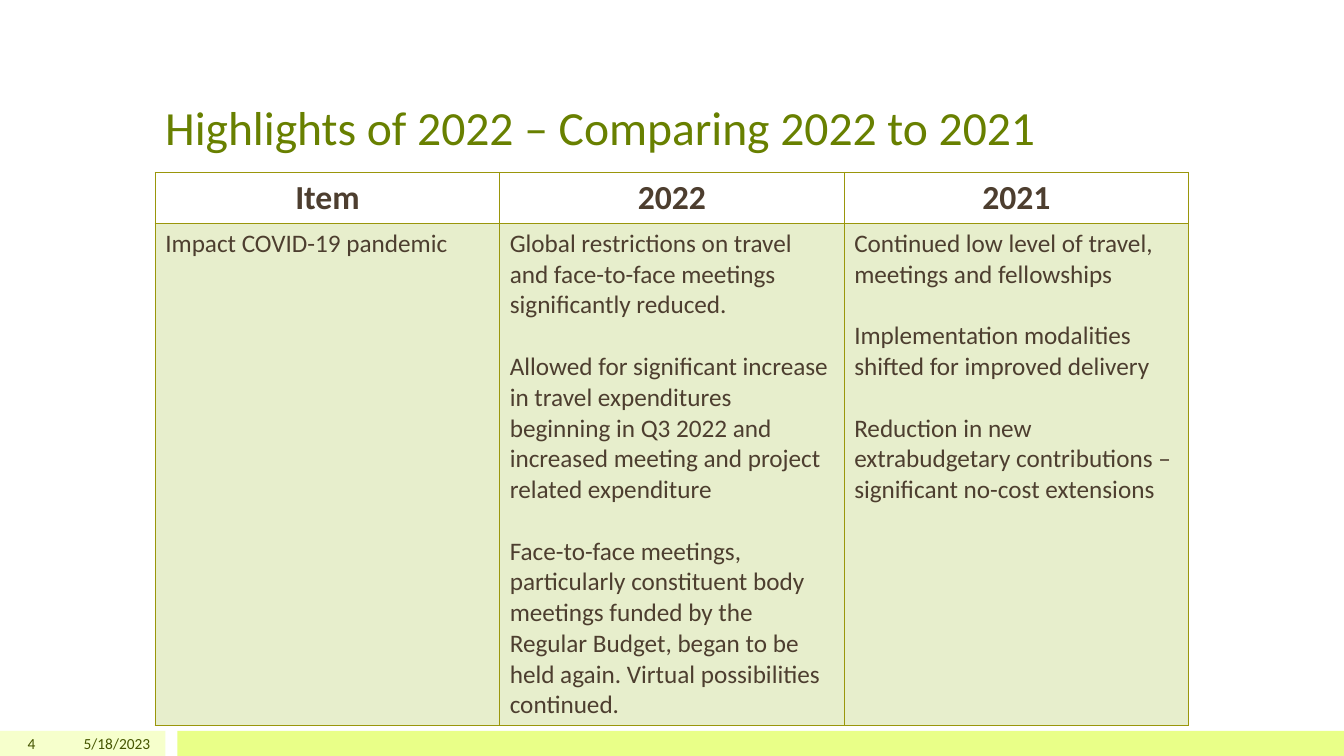
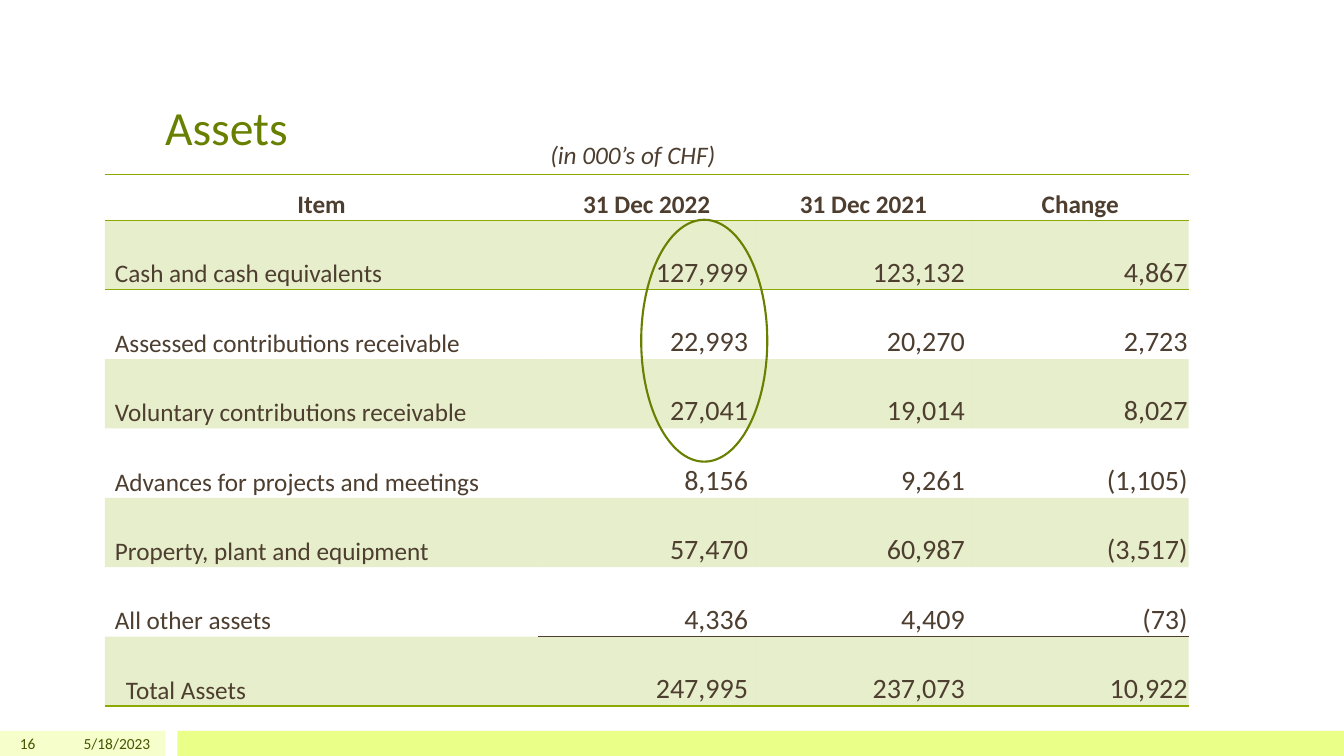
import pptx
import pptx.util
import pptx.dml.color
import pptx.enum.shapes
import pptx.enum.text
import pptx.oxml
import pptx.oxml.ns

Pt = pptx.util.Pt
Inches = pptx.util.Inches
RGBColor = pptx.dml.color.RGBColor
SHAPE = pptx.enum.shapes.MSO_SHAPE
ALIGN = pptx.enum.text.PP_ALIGN
ANCHOR = pptx.enum.text.MSO_ANCHOR

WIDTH, HEIGHT = Inches(13.33), Inches(7.5)
FONT = "Calibri"
OLIVE = RGBColor(0x68, 0x80, 0x00)
DARK_OLIVE = RGBColor(0x45, 0x55, 0x00)
GREEN = RGBColor(0x8B, 0xAA, 0x00)
GRID = RGBColor(0x9A, 0x96, 0x0B)
BROWN = RGBColor(0x4D, 0x3E, 0x2F)
PALE_LIME = RGBColor(0xF6, 0xFF, 0xCC)
LIME = RGBColor(0xE9, 0xFF, 0x88)
TINT_PERCENT = 20
FOOTER_TOP, FOOTER_HEIGHT = 96.67, 3.33
TABLE_GRID_STYLE = "{2D5ABB26-0587-4C30-8999-92F81FD0307C}"
DATE = "5/18/2023"

HIGHLIGHTS = [
    ["Impact COVID-19 pandemic"],
    ["Global restrictions on travel and face-to-face meetings significantly reduced.",
     "Allowed for significant increase in travel expenditures beginning in Q3 2022 "
     "and increased meeting and project related expenditure",
     "Face-to-face meetings, particularly constituent body meetings funded by the "
     "Regular Budget, began to be held again. Virtual possibilities continued."],
    ["Continued low level of travel, meetings and fellowships",
     "Implementation modalities shifted for improved delivery",
     "Reduction in new extrabudgetary contributions – significant no-cost extensions"],
]
ASSETS = [
    ("Item", "31 Dec 2022", "31 Dec 2021", "Change"),
    ("Cash and cash equivalents", "127,999", "123,132", "4,867"),
    ("Assessed contributions receivable", "22,993", "20,270", "2,723"),
    ("Voluntary contributions receivable", "27,041", "19,014", "8,027"),
    ("Advances for projects and meetings", "8,156", "9,261", "(1,105)"),
    ("Property, plant and equipment", "57,470", "60,987", "(3,517)"),
    ("All other assets", "4,336", "4,409", "(73)"),
    ("Total Assets", "247,995", "237,073", "10,922"),
]


def across(percent):
    return round(WIDTH * percent / 100)


def down(percent):
    return round(HEIGHT * percent / 100)


def box(x, y, w, h):
    return across(x), down(y), across(w), down(h)


def write(tf, *lines, size=18, color=BROWN, bold=False, italic=False,
          align=ALIGN.LEFT, gap=0):
    tf.word_wrap = True
    for i, line in enumerate(lines):
        p = tf.add_paragraph() if i else tf.paragraphs[0]
        p.alignment = align
        p.space_before = Pt(gap if i else 0)
        r = p.add_run()
        r.text = line
        r.font.name = FONT
        r.font.size = Pt(size)
        r.font.bold = bold
        r.font.italic = italic
        r.font.color.rgb = color


def add_text(slide, area, text, anchor=ANCHOR.TOP, **style):
    tf = slide.shapes.add_textbox(*box(*area)).text_frame
    tf.vertical_anchor = anchor
    write(tf, text, **style)


def add_shape(slide, kind, area, fill=None, line=None, weight=1.5):
    sp = slide.shapes.add_shape(kind, *box(*area))
    sp.shadow.inherit = False
    if fill is None:
        sp.fill.background()
    else:
        sp.fill.solid()
        sp.fill.fore_color.rgb = fill
    if line is None:
        sp.line.fill.background()
    else:
        sp.line.color.rgb = line
        sp.line.width = Pt(weight)


def add_table(slide, x, y, widths, heights):
    frame = slide.shapes.add_table(len(heights), len(widths),
                                   *box(x, y, sum(widths), sum(heights)))
    table = frame.table
    table.first_row = table.horz_banding = False
    style = next(table._tbl.iter(pptx.oxml.ns.qn("a:tableStyleId")))
    style.text = TABLE_GRID_STYLE
    for column, w in zip(table.columns, widths):
        column.width = across(w)
    for row, h in zip(table.rows, heights):
        row.height = down(h)
    return table


def format_cell(cell, borders, tinted):
    tc_pr = cell._tc.get_or_add_tcPr()
    for side in "LRTB":
        if side in borders:
            tc_pr.append(pptx.oxml.parse_xml(
                f'<a:ln{side} {pptx.oxml.ns.nsdecls("a")} w="{Pt(1)}"><a:solidFill>'
                f'<a:srgbClr val="{borders[side]}"/></a:solidFill></a:ln{side}>'))
    if not tinted:
        cell.fill.background()
        return
    cell.fill.solid()
    cell.fill.fore_color.rgb = GREEN
    color = next(tc_pr.find(pptx.oxml.ns.qn("a:solidFill")).iterchildren())
    alpha = color.makeelement(pptx.oxml.ns.qn("a:alpha"),
                              {"val": str(TINT_PERCENT * 1000)})
    color.append(alpha)


def set_margins(cell, left=0.01, right=0.01):
    cell.margin_left, cell.margin_right = Inches(left), Inches(right)
    cell.margin_top, cell.margin_bottom = Inches(0.01), 0


def add_slide(prs, title, number):
    slide = prs.slides.add_slide(prs.slide_layouts[6])
    for x, w, color in ((0, 12.3, PALE_LIME), (13.2, 86.8, LIME)):
        add_shape(slide, SHAPE.RECTANGLE, (x, FOOTER_TOP, w, FOOTER_HEIGHT), fill=color)
    add_text(slide, (11.55, 4, 76.9, 17.2), title, ANCHOR.BOTTOM, size=34, color=OLIVE)
    for x, w, text in ((0, 3.38, str(number)), (3.75, 8.18, DATE)):
        add_text(slide, (x, FOOTER_TOP, w, FOOTER_HEIGHT), text, ANCHOR.MIDDLE,
                 size=11, color=DARK_OLIVE, align=ALIGN.RIGHT)
    return slide


def add_highlights(prs):
    slide = add_slide(prs, "Highlights of 2022 – Comparing 2022 to 2021", 4)
    table = add_table(slide, 11.55, 22.8, [76.9 / 3] * 3, [6.76, 66.4])
    borders = dict.fromkeys("LRTB", GRID)
    for c, (heading, lines) in enumerate(zip(("Item", "2022", "2021"), HIGHLIGHTS)):
        head, body = table.cell(0, c), table.cell(1, c)
        format_cell(head, borders, False)
        format_cell(body, borders, True)
        write(head.text_frame, heading, size=24, bold=True, align=ALIGN.CENTER)
        write(body.text_frame, *lines, gap=22)


def asset_borders(r, c):
    last = len(ASSETS) - 1
    borders = {}
    if r == 0:
        borders["T"] = GREEN
    if r in (0, last):
        borders["B"] = GREEN
    if r == 1:
        borders["T"] = GREEN
    if c and r == last - 1:
        borders["B"] = BROWN
    if c and r == last:
        borders["T"] = BROWN
    return borders


def add_assets(prs):
    slide = add_slide(prs, "Assets", 16)
    last = len(ASSETS) - 1
    unit = 80.65 / 5
    table = add_table(slide, 7.8, 23.07, [2 * unit] + [unit] * 3, [6.08] + [9.18] * last)
    for r, row in enumerate(ASSETS):
        for c, text in enumerate(row):
            cell = table.cell(r, c)
            format_cell(cell, asset_borders(r, c), r % 2 == 1)
            cell.vertical_anchor = ANCHOR.BOTTOM
            if r == 0:
                set_margins(cell)
                write(cell.text_frame, text, bold=True, align=ALIGN.CENTER)
            elif c == 0:
                set_margins(cell, left=0.21 if r == last else 0.1)
                write(cell.text_frame, text)
            else:
                set_margins(cell, right=0.07 if c < 3 else 0.01)
                write(cell.text_frame, text, size=20, align=ALIGN.RIGHT)
    add_text(slide, (40.21, 17.73, 15, 5.33), "(in 000’s of CHF)", italic=True)
    add_shape(slide, SHAPE.OVAL, (47.71, 29.07, 9.38, 32), line=OLIVE)


def main():
    prs = pptx.Presentation()
    prs.slide_width, prs.slide_height = WIDTH, HEIGHT
    add_highlights(prs)
    add_assets(prs)
    prs.save("out.pptx")


if __name__ == "__main__":
    main()
